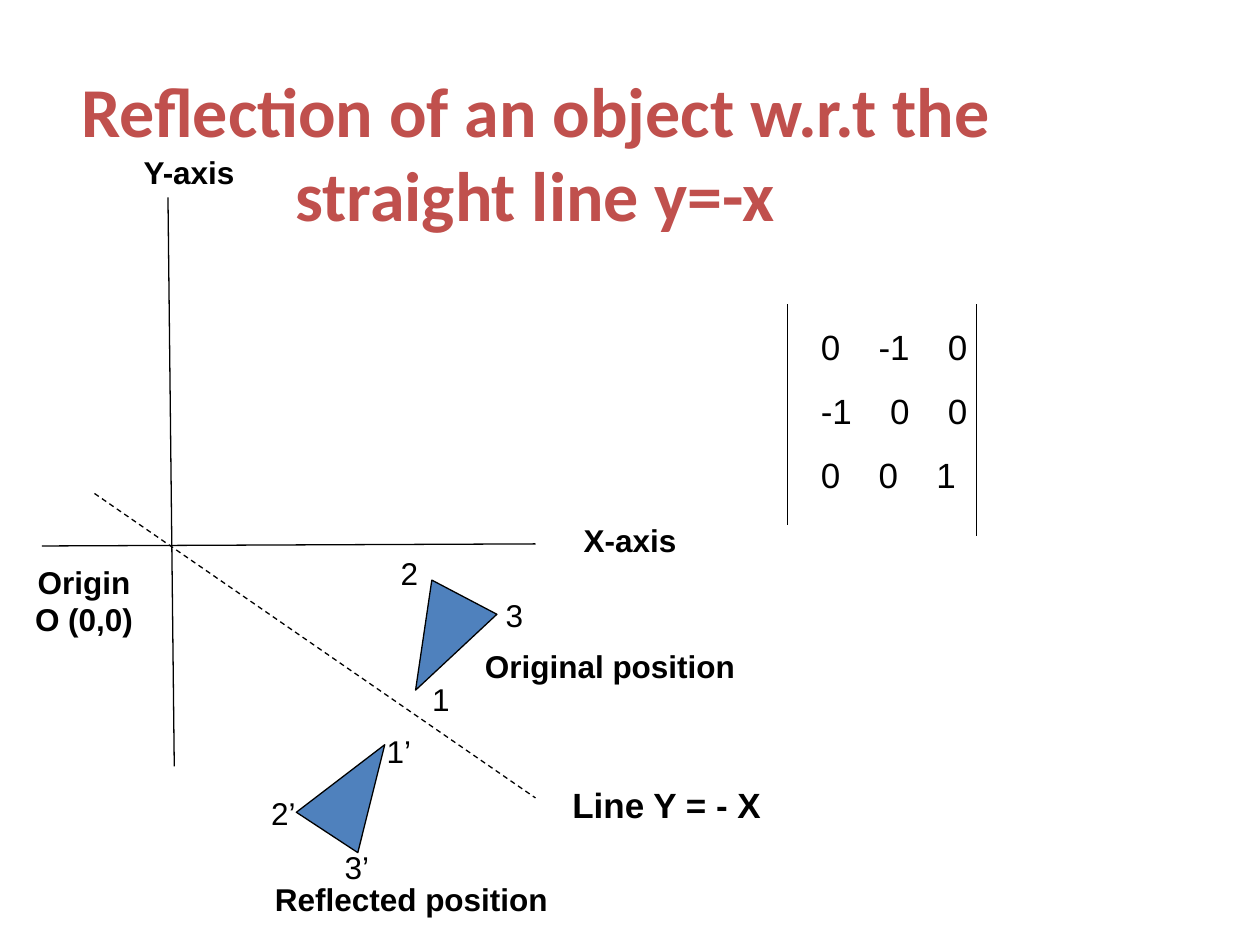
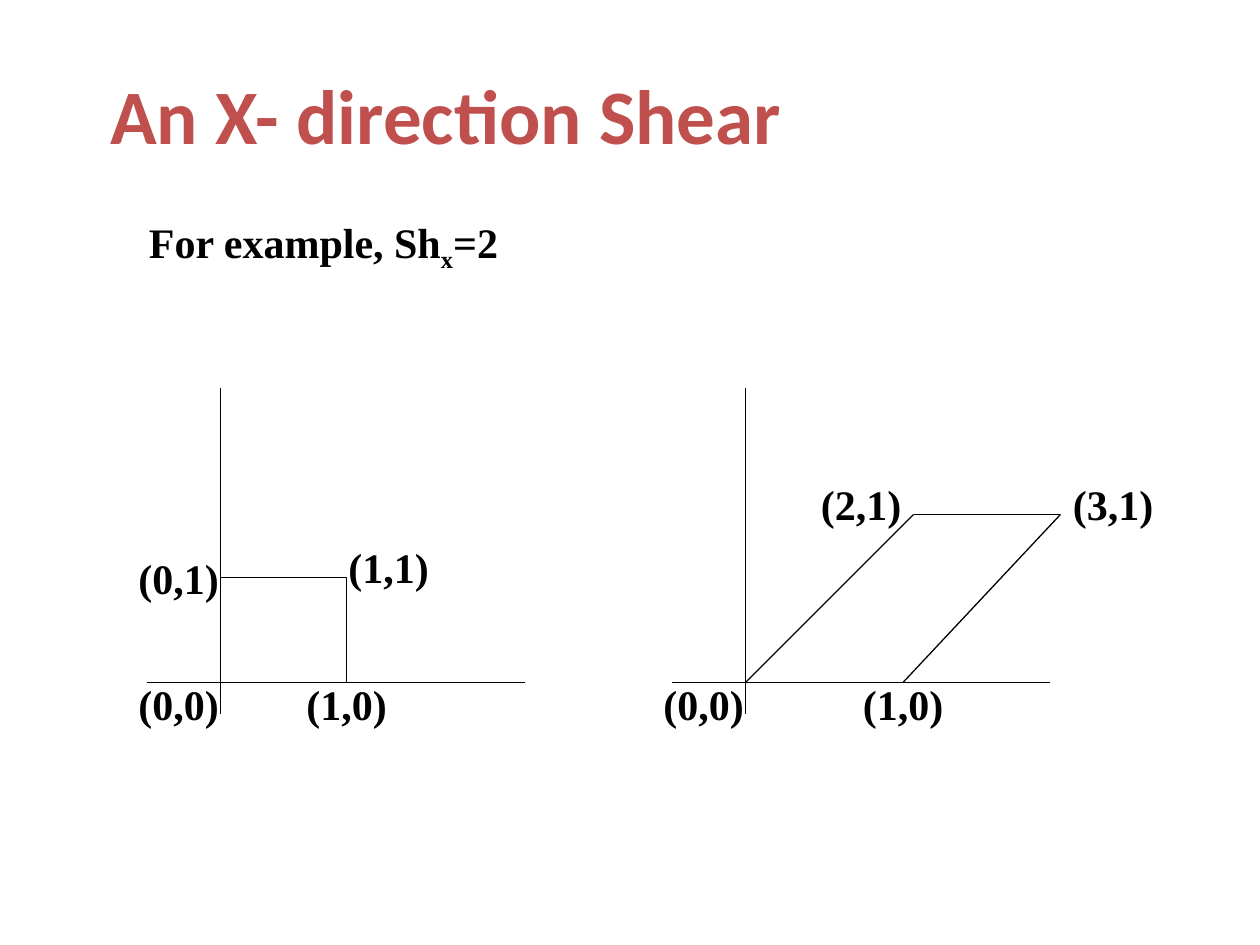
from dataclasses import dataclass

from lxml.etree import SubElement
from pptx import Presentation
from pptx.dml.color import RGBColor
from pptx.enum.dml import MSO_LINE
from pptx.enum.shapes import MSO_CONNECTOR, MSO_SHAPE
from pptx.enum.text import MSO_ANCHOR, MSO_AUTO_SIZE, PP_ALIGN
from pptx.oxml.ns import qn
from pptx.util import Inches, Pt


@dataclass(frozen=True)
class Theme:
    """Colours, fonts and type sizes shared by the slides."""
    title_color: RGBColor = RGBColor(0xC0, 0x50, 0x4D)
    ink: RGBColor = RGBColor(0, 0, 0)
    triangle_fill: RGBColor = RGBColor(0x4F, 0x81, 0xBD)
    title_font: str = "Calibri"
    diagram_font: str = "Arial"
    point_font: str = "Times New Roman"
    line_width: float = 0.75
    label_size: int = 18
    formula_size: int = 20
    point_size: int = 24
    row_gap: float = 12.5


THEME = Theme()
COLUMNS, ROWS = 120, 90
WIDTH, HEIGHT = Inches(10), Inches(7.5)


def across(columns):
    """Convert grid columns to a length."""
    return round(WIDTH * columns / COLUMNS)


def down(rows):
    """Convert grid rows to a length."""
    return round(HEIGHT * rows / ROWS)


@dataclass
class Region:
    """A part of a slide whose contents are measured from its origin."""
    slide: object
    column: float
    row: float

    def at(self, column, row):
        """Return the slide position of a point in the region."""
        return across(self.column + column), down(self.row + row)

    def line(self, start, end, dash=None):
        """Draw a thin line between two points."""
        connector = self.slide.shapes.add_connector(
            MSO_CONNECTOR.STRAIGHT, *self.at(*start), *self.at(*end))
        outline(connector)
        connector.line.dash_style = dash
        SubElement(connector._element.spPr, qn("a:effectLst"))

    def shape(self, kind, column, row, columns, rows, fill=None, rotation=0):
        """Draw an outlined preset shape, filled if a colour is given."""
        shape = self.slide.shapes.add_shape(
            kind, *self.at(column, row), across(columns), down(rows))
        shape.shadow.inherit = False
        shape.rotation = rotation
        outline(shape)
        if fill is None:
            shape.fill.background()
        else:
            shape.fill.solid()
            shape.fill.fore_color.rgb = fill

    def text(self, words, column, row, columns, rows, font, size,
             bold=False, align=PP_ALIGN.LEFT):
        """Write a wrapped label and return its text frame."""
        box = self.slide.shapes.add_textbox(
            *self.at(column, row), across(columns), down(rows))
        frame = box.text_frame
        frame.word_wrap = True
        frame.text = words
        for paragraph in frame.paragraphs:
            paragraph.alignment = align
            style_runs(paragraph, font, size, bold, THEME.ink)
        return frame


def outline(shape):
    """Give a shape or connector the common line."""
    shape.line.color.rgb = THEME.ink
    shape.line.width = Pt(THEME.line_width)


def style_runs(paragraph, font, size, bold, color):
    """Format every run of a paragraph alike."""
    for run in paragraph.runs:
        run.font.name = font
        run.font.size = Pt(size)
        run.font.bold = bold
        run.font.color.rgb = color


def titled_slide(presentation, words, row, columns, rows, size, anchor):
    """Add a title-only slide with its title set from the left edge."""
    slide = presentation.slides.add_slide(presentation.slide_layouts[5])
    title = slide.shapes.title
    title.left, title.top = 0, down(row)
    title.width, title.height = across(columns), down(rows)
    frame = title.text_frame
    frame.text = words
    frame.auto_size = MSO_AUTO_SIZE.NONE
    frame.vertical_anchor = anchor
    paragraph = frame.paragraphs[0]
    paragraph.alignment = PP_ALIGN.CENTER
    style_runs(paragraph, THEME.title_font, size, True, THEME.title_color)
    return slide


def reflection_diagram(region):
    """Draw a triangle and its reflection around the axes' crossing."""
    region.line((0, -33.2), (0.6, 21))
    region.line((-12, 0), (35, -0.2))
    region.line((-7, -5), (35, 24), MSO_LINE.DASH)
    for column, row, rotation in ((22.4, 4.3, 207.7), (14.4, 18.1, 33.3)):
        region.shape(MSO_SHAPE.ISOSCELES_TRIANGLE, column, row, 7, 10,
                     THEME.triangle_fill, rotation)

    vertices = (("1", 23, 12.2), ("2", 20, 0.2), ("3", 30, 4.2),
                ("1’", 19, 17.1), ("2’", 8, 23), ("3’", 15, 28.2))
    for words, column, row in vertices:
        region.text(words, column, row, 6, 4.8, THEME.diagram_font,
                    THEME.label_size, align=PP_ALIGN.CENTER)

    captions = (
        ("X-axis", 36, -3, 16, 4.8, THEME.label_size, PP_ALIGN.CENTER),
        ("Y-axis", -6, -38, 16, 4.8, THEME.label_size, PP_ALIGN.CENTER),
        ("Origin\vO (0,0)", -16, 1, 16, 8.4, THEME.label_size, PP_ALIGN.CENTER),
        ("Original position", 29, 9, 38, 4.8, THEME.label_size, PP_ALIGN.LEFT),
        ("Reflected position", 9, 31.2, 30, 4.8, THEME.label_size, PP_ALIGN.LEFT),
        ("Line Y = - X", 36, 22, 23, 5.3, THEME.formula_size, PP_ALIGN.CENTER),
    )
    for words, column, row, columns, rows, size, align in captions:
        region.text(words, column, row, columns, rows, THEME.diagram_font,
                    size, True, align)


def reflection_matrix(region):
    """Set the matrix entries on tab stops between two bars."""
    region.line((0, 0), (0, 21))
    region.line((18, 0), (18, 22))
    entries = (("0", "-1", "0"), ("-1", "0", "0"), ("0", "0", "1"))
    stops = ((5.5, 12.1), (6.6, 12.1), (5.5, 11))
    words = "\n".join("\t".join(row) for row in entries)
    frame = region.text(words, 2, 1.4, 17, 17.4, THEME.diagram_font,
                        THEME.formula_size)
    for index, (paragraph, columns) in enumerate(zip(frame.paragraphs, stops)):
        tabs = SubElement(paragraph._p.get_or_add_pPr(), qn("a:tabLst"))
        for column in columns:
            SubElement(tabs, qn("a:tab"), pos=str(across(column)), algn="l")
        if index:
            paragraph.space_before = Pt(THEME.row_gap)


def point_text(region, words, column, row, columns=11, rows=6):
    """Write bold serif text, as used for points and their heading."""
    return region.text(words, column, row, columns, rows, THEME.point_font,
                       THEME.point_size, True)


def shear_axes(region, points):
    """Draw axes through the region's origin and label the points."""
    region.line((0, -28), (0, 3))
    region.line((-7, 0), (29, 0))
    for words, column, row in (("(0,0)", -9, -1), *points):
        point_text(region, words, column, row)


def unit_square(region):
    """Draw the square before the shear."""
    shear_axes(region, (("(0,1)", -9, -13), ("(1,1)", 11, -14), ("(1,0)", 7, -1)))
    region.shape(MSO_SHAPE.RECTANGLE, 0, -10, 12, 10)


def sheared_square(region):
    """Draw the open parallelogram after the shear."""
    shear_axes(region, (("(2,1)", 6, -20), ("(3,1)", 30, -20), ("(1,0)", 10, -1)))
    for start, end in (((0, 0), (16, -16)), ((15, 0), (30, -16)),
                       ((16, -16), (30, -16))):
        region.line(start, end)


def shear_heading(region):
    """Write the shear factor with its subscript."""
    frame = point_text(region, "For example, Sh", 0, 0, 45, 6.7)
    paragraph = frame.paragraphs[0]
    for words in ("x", "=2"):
        paragraph.add_run().text = words
    style_runs(paragraph, THEME.point_font, THEME.point_size, True, THEME.ink)
    paragraph.runs[1]._r.get_or_add_rPr().set("baseline", "-25000")


def reflection_slide(presentation):
    """Build the slide on reflection about y=-x."""
    slide = titled_slide(
        presentation, "Reflection of an object w.r.t the straight line y=-x",
        8, 102, 15, 40, MSO_ANCHOR.BOTTOM)
    reflection_diagram(Region(slide, 16, 52))
    reflection_matrix(Region(slide, 75, 29))


def shear_slide(presentation):
    """Build the slide on shear in the x direction."""
    slide = titled_slide(presentation, "An X- direction Shear",
                         6, 85, 9.6, 44, MSO_ANCHOR.MIDDLE)
    shear_heading(Region(slide, 13, 20))
    unit_square(Region(slide, 21, 65))
    sheared_square(Region(slide, 71, 65))


def main():
    """Build and save the presentation."""
    presentation = Presentation()
    presentation.slide_width, presentation.slide_height = WIDTH, HEIGHT
    reflection_slide(presentation)
    shear_slide(presentation)
    presentation.save("out.pptx")


if __name__ == "__main__":
    main()
